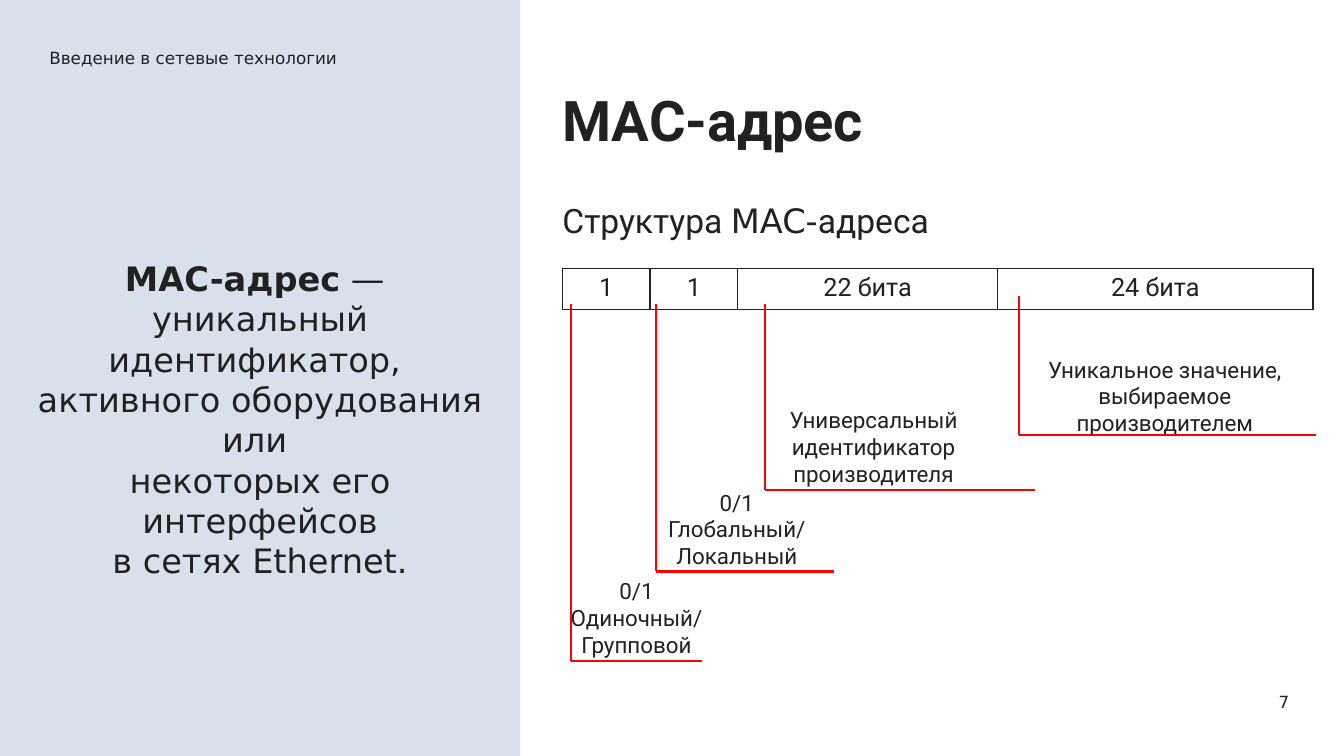
from copy import deepcopy
from dataclasses import dataclass

from lxml.etree import SubElement
from pptx import Presentation
from pptx.dml.color import RGBColor
from pptx.enum.shapes import MSO_CONNECTOR
from pptx.enum.text import MSO_ANCHOR as Anchor, MSO_AUTO_SIZE as AutoSize, PP_ALIGN as Align
from pptx.oxml.ns import qn
from pptx.util import Cm, Pt


@dataclass(frozen=True)
class Theme:
    ink: RGBColor = RGBColor(0x21, 0x21, 0x21)
    panel: RGBColor = RGBColor(0xD8, 0xE0, 0xEB)
    accent: RGBColor = RGBColor(0xFF, 0x00, 0x00)
    heading_font: str = "Roboto"
    text_font: str = "DejaVu Sans"
    title_size: float = 40
    body_size: float = 24
    cell_size: float = 18
    callout_size: float = 16
    small_size: float = 12
    border_width: float = 1
    line_width: float = 1.5


@dataclass(frozen=True)
class Box:
    left: float
    top: float
    width: float
    height: float


@dataclass(frozen=True)
class Field:
    label: str
    width: float


@dataclass(frozen=True)
class Callout:
    text: str
    box: Box
    line_left: float
    line_top: float
    line_bottom: float
    line_right: float


THEME = Theme()
FIELDS = [Field("1", 2.21), Field("1", 2.21), Field("22 бита", 6.55), Field("24 бита", 7.95)]
CALLOUTS = [
    Callout("Уникальное значение, выбираемое\nпроизводителем",
            Box(25.2, 8.84, 8.31, 2.16), 25.68, 7.47, 10.97, 33.17),
    Callout("Универсальный\nидентификатор\nпроизводителя",
            Box(17.86, 10.11, 8.31, 2.16), 19.28, 7.67, 12.34, 26.09),
    Callout("0/1\nГлобальный/\nЛокальный",
            Box(16.54, 12.19, 4.06, 2.16), 16.54, 7.67, 14.4, 21.03),
    Callout("0/1\nОдиночный/\nГрупповой",
            Box(14.12, 14.43, 3.84, 2.16), 14.4, 7.67, 16.66, 17.68),
]


def add_text(paragraph, text: str, *, size: float, font: str = THEME.text_font,
             bold: bool = False, align: Align = Align.LEFT) -> None:
    paragraph.alignment = align
    paragraph.space_before = Pt(0)
    for number, line in enumerate(text.split("\n")):
        if number:
            paragraph.add_line_break()
            paragraph._p[-1].append(deepcopy(run._r.rPr))
        run = paragraph.add_run()
        run.text = line
        run.font.name = font
        run.font.size = Pt(size)
        run.font.bold = bold
        run.font.color.rgb = THEME.ink


def prepare_frame(shape, anchor: Anchor = Anchor.TOP):
    frame = shape.text_frame
    frame.word_wrap = True
    frame.auto_size = AutoSize.NONE
    frame.vertical_anchor = anchor
    return frame.paragraphs[0]


def place_placeholder(shape, box: Box, anchor: Anchor = Anchor.TOP):
    shape.left, shape.top = Cm(box.left), Cm(box.top)
    shape.width, shape.height = Cm(box.width), Cm(box.height)
    paragraph = prepare_frame(shape, anchor)
    properties = paragraph._p.get_or_add_pPr()
    properties.set("marL", "0")
    properties.set("indent", "0")
    SubElement(properties, qn("a:buNone"))
    return paragraph


def add_text_box(slide, box: Box, anchor: Anchor = Anchor.TOP):
    shape = slide.shapes.add_textbox(Cm(box.left), Cm(box.top), Cm(box.width), Cm(box.height))
    return prepare_frame(shape, anchor)


def add_line(slide, start_x: float, start_y: float, end_x: float, end_y: float) -> None:
    line = slide.shapes.add_connector(
        MSO_CONNECTOR.STRAIGHT, Cm(start_x), Cm(start_y), Cm(end_x), Cm(end_y))
    line.line.color.rgb = THEME.accent
    line.line.width = Pt(THEME.line_width)
    SubElement(line._element.spPr, qn("a:effectLst"))


def add_callout(slide, callout: Callout) -> None:
    add_text(add_text_box(slide, callout.box), callout.text, size=THEME.callout_size,
             font=THEME.heading_font, align=Align.CENTER)
    add_line(slide, callout.line_left, callout.line_top, callout.line_left, callout.line_bottom)
    add_line(slide, callout.line_left, callout.line_bottom, callout.line_right, callout.line_bottom)


def add_borders(cell) -> None:
    properties = cell._tc.get_or_add_tcPr()
    for position, side in enumerate(("a:lnL", "a:lnR", "a:lnT", "a:lnB")):
        border = SubElement(properties, qn(side), w=str(Pt(THEME.border_width)))
        fill = SubElement(border, qn("a:solidFill"))
        SubElement(fill, qn("a:srgbClr"), val=str(THEME.ink))
        properties.insert(position, border)


def add_address_table(slide, fields: list[Field], left: float, top: float, height: float) -> None:
    width = sum(field.width for field in fields)
    frame = slide.shapes.add_table(1, len(fields), Cm(left), Cm(top), Cm(width), Cm(height))
    table = frame.table
    table.first_row = table.horz_banding = False
    for index, field in enumerate(fields):
        table.columns[index].width = Cm(field.width)
        cell = table.cell(0, index)
        cell.fill.background()
        add_borders(cell)
        add_text(cell.text_frame.paragraphs[0], field.label, size=THEME.cell_size,
                 font=THEME.heading_font, align=Align.CENTER)


def fill_placeholders(slide) -> None:
    title = slide.shapes.title
    definition, structure, header, spare = list(slide.placeholders)[1:]
    spare._element.getparent().remove(spare._element)

    definition.fill.solid()
    definition.fill.fore_color.rgb = THEME.panel
    paragraph = place_placeholder(definition, Box(0, 0, 13.11, 19.05), Anchor.MIDDLE)
    definition.text_frame.margin_top = Cm(2.2)
    add_text(paragraph, "MAC-адрес", size=THEME.body_size, bold=True, align=Align.CENTER)
    add_text(paragraph, " — \nуникальный идентификатор, \nактивного оборудования или \n"
             "некоторых его\nинтерфейсов\nв сетях Ethernet.",
             size=THEME.body_size, align=Align.CENTER)

    paragraph = place_placeholder(structure, Box(13.92, 4.9, 18.64, 1.22))
    for text, font in (("Структура ", THEME.heading_font), ("MAC-", THEME.text_font),
                       ("адреса", THEME.heading_font)):
        add_text(paragraph, text, size=THEME.body_size, font=font)

    paragraph = place_placeholder(header, Box(0.99, 0.94, 26.24, 1.02), Anchor.MIDDLE)
    add_text(paragraph, "Введение в сетевые технологии", size=THEME.small_size)

    paragraph = place_placeholder(title, Box(13.92, 2.03, 18.64, 3.05))
    add_text(paragraph, "MAC-адрес", size=THEME.title_size, font=THEME.heading_font, bold=True)
    paragraph.line_spacing = Pt(48)


def main() -> None:
    presentation = Presentation()
    presentation.slide_width, presentation.slide_height = Cm(33.87), Cm(19.05)
    slide = presentation.slides.add_slide(presentation.slide_layouts.get_by_name("Comparison"))
    fill_placeholders(slide)
    add_address_table(slide, FIELDS, left=14.17, top=6.76, height=1.04)
    for callout in CALLOUTS:
        add_callout(slide, callout)
    page_number = add_text_box(slide, Box(27.05, 17.17, 5.69, 1.02), Anchor.MIDDLE)
    add_text(page_number, "7", size=THEME.small_size, align=Align.RIGHT)
    presentation.save("out.pptx")


if __name__ == "__main__":
    main()
